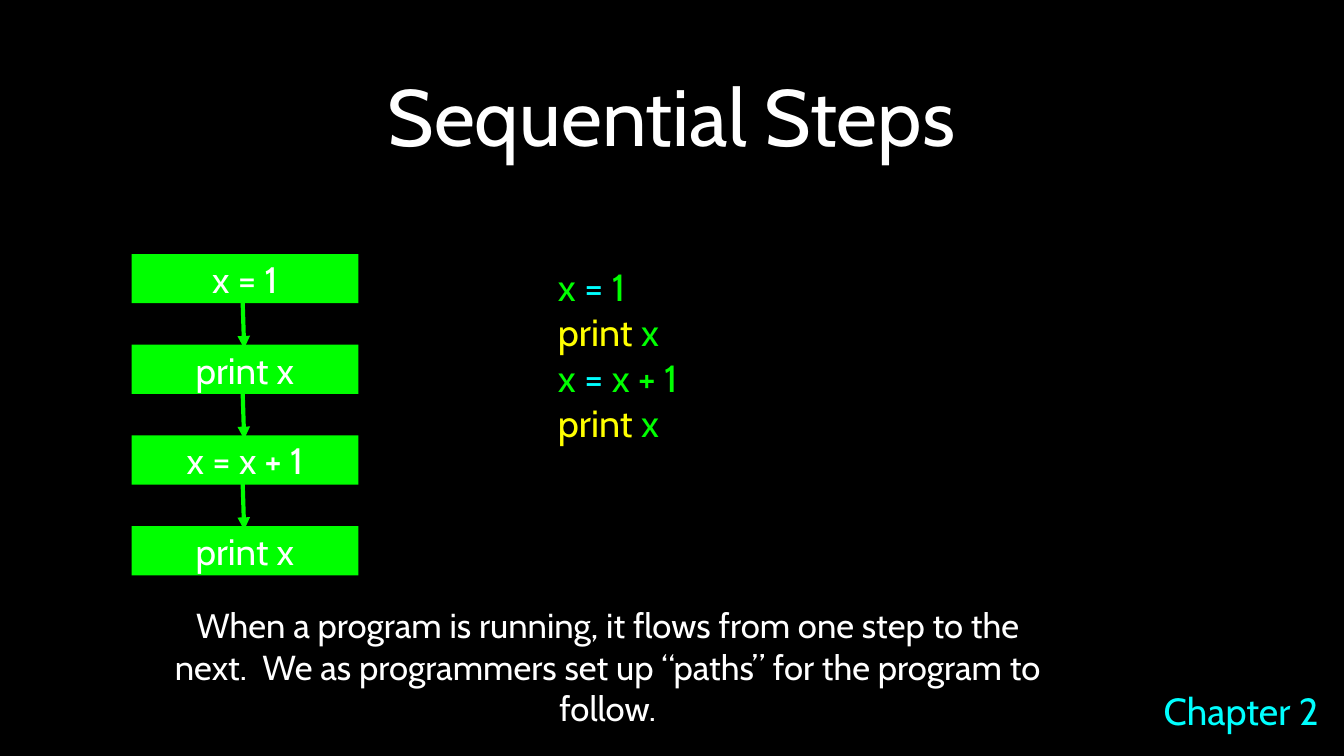
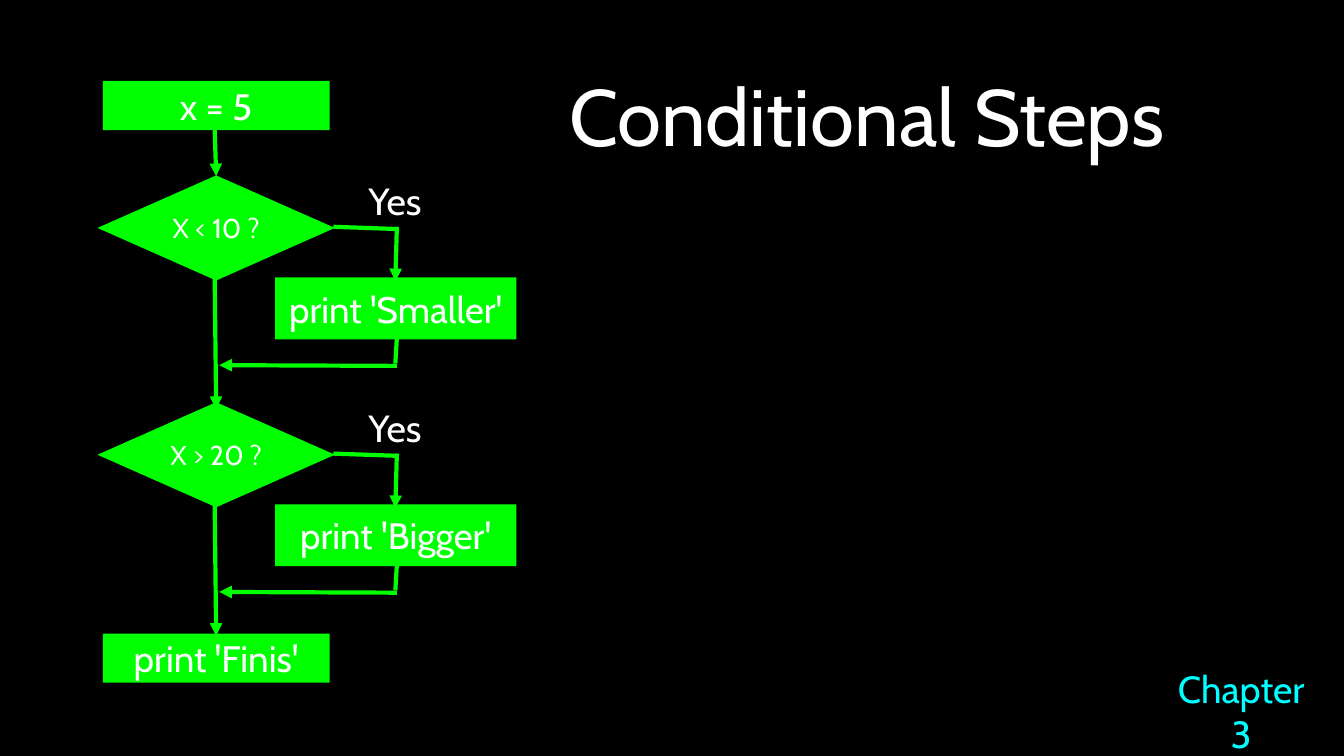
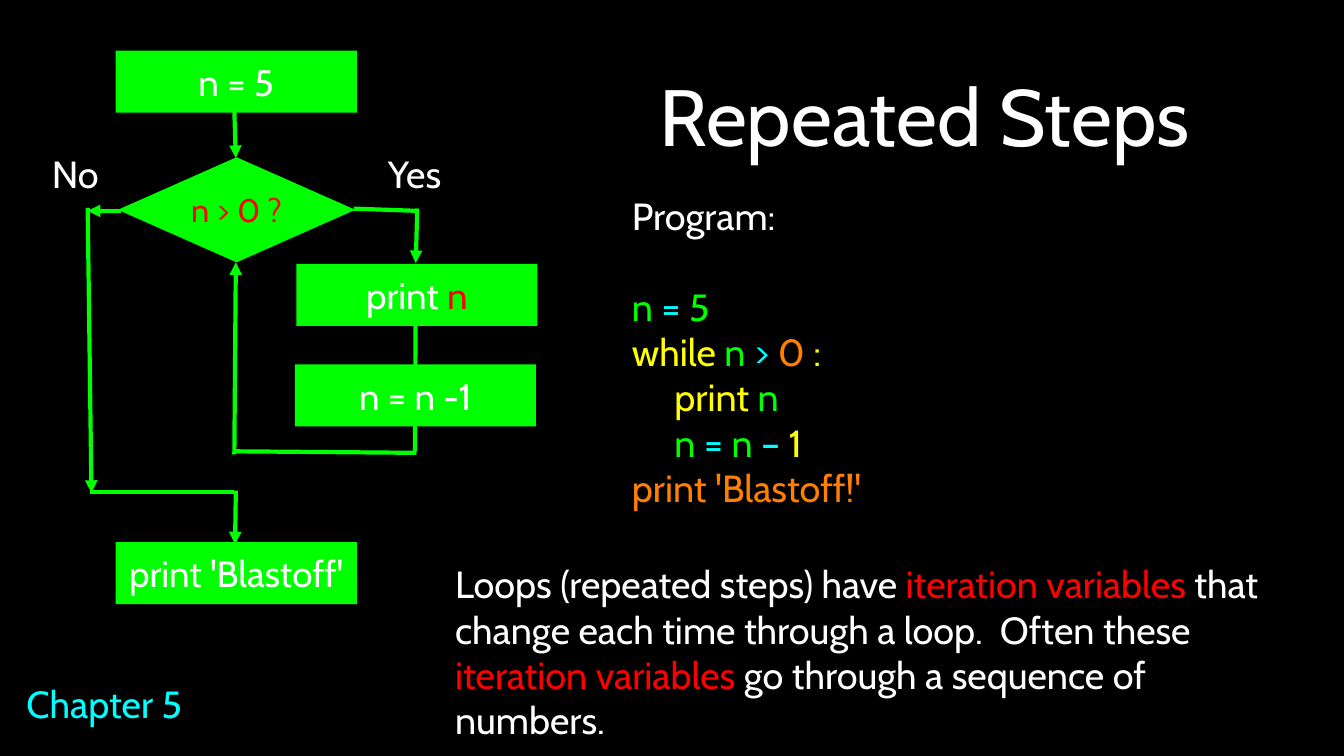
import pptx
import pptx.util
import pptx.dml.color
import pptx.enum.shapes
import pptx.enum.text
import lxml.etree
from pptx.oxml.ns import qn

RGB = pptx.dml.color.RGBColor
SHAPE = pptx.enum.shapes.MSO_SHAPE
ALIGN = pptx.enum.text.PP_ALIGN
ANCHOR = pptx.enum.text.MSO_ANCHOR

BLACK = RGB(0x00, 0x00, 0x00)
WHITE = RGB(0xFF, 0xFF, 0xFF)
GREEN = RGB(0x00, 0xFF, 0x00)
CYAN = RGB(0x00, 0xFF, 0xFF)
YELLOW = RGB(0xFF, 0xFF, 0x00)
ORANGE = RGB(0xFF, 0x7F, 0x00)
RED = RGB(0xFF, 0x00, 0x00)

FONT = "Cabin"
SCALE = 9144  # EMU in one px, 100 px to the inch
WIDE, TALL = 319, 82
SLIM, LOW = 300, 65


def px(*sizes):
    return [pptx.util.Emu(size * SCALE) for size in sizes]


def write(frame, lines, size, align=ALIGN.CENTER, inset=0, anchor=ANCHOR.MIDDLE):
    """Fill a frame with lines, each a list of (text, colour) runs."""
    frame.auto_size = pptx.enum.text.MSO_AUTO_SIZE.NONE
    frame.vertical_anchor = anchor
    frame.margin_left = frame.margin_right = px(inset)[0]
    frame.margin_top = frame.margin_bottom = px(inset)[0]
    for index, runs in enumerate(lines):
        para = frame.add_paragraph() if index else frame.paragraphs[0]
        para.alignment = align
        para.font.name = FONT
        para.font.size = pptx.util.Pt(size)
        if len(runs) == 1:
            para.font.color.rgb = runs[0][1]
        for text, color in runs:
            run = para.add_run()
            run.text = text
            if len(runs) > 1:
                run.font.color.rgb = color


def start(deck, title, left, width):
    """Add a slide whose title spans the given width."""
    slide = deck.slides.add_slide(deck.slide_layouts[5])
    head = slide.shapes.title
    head.left, head.top, head.width, head.height = px(left, 26, width, 251)
    write(head.text_frame, [[(title, WHITE)]], 76, inset=4)
    return slide


def note(slide, place, lines, size=36, wrap=True, **style):
    frame = slide.shapes.add_textbox(*px(*place)).text_frame
    frame.word_wrap = wrap
    write(frame, lines, size, **style)
    return frame


def label(slide, left, top, text):
    note(slide, (left, top, 73, 60), [[(text, WHITE)]], wrap=False)


def chapter(slide, left, top, text, width=206, wrap=False):
    note(slide, (left, top, width, 60), [[(text, CYAN)]], wrap=wrap)


def node(slide, kind, place, runs, size=35):
    shape = slide.shapes.add_shape(kind, *px(*place))
    shape.shadow.inherit = False
    shape.fill.solid()
    shape.fill.fore_color.rgb = GREEN
    shape.line.fill.background()
    write(shape.text_frame, [runs], size)


def box(slide, left, top, width, height, *runs):
    node(slide, SHAPE.RECTANGLE, (left, top, width, height), runs)


def line(slide, *ends):
    link = slide.shapes.add_connector(
        pptx.enum.shapes.MSO_CONNECTOR.STRAIGHT, *px(*ends))
    link.line.color.rgb = GREEN
    link.line.width = pptx.util.Pt(4)
    lxml.etree.SubElement(link._element.spPr, qn("a:effectLst"))
    return link


def arrow(slide, *ends):
    link = line(slide, *ends)
    tip = lxml.etree.SubElement(link.line._get_or_add_ln(), qn("a:tailEnd"))
    tip.set("type", "triangle")


def choice(slide, left, top, text, size, color):
    """Draw a test diamond and the path that leaves it on the right."""
    node(slide, SHAPE.DIAMOND, (left, top, 314, 139), [(text, color)], size)
    line(slide, left + 312, top + 68, left + 398, top + 71)
    arrow(slide, left + 396, top + 68, left + 394, top + 140)


def steps(deck):
    slide = start(deck, "Sequential Steps", 126, 1524)
    for index, text in enumerate(["x = 1", "print x", "x = x + 1", "print x"]):
        top = 336 + 120 * index
        box(slide, 174, top, SLIM, LOW, (text, WHITE))
        if index:
            arrow(slide, 321, top - 58, 323, top + 5)
    note(slide, (209, 823, 1190, 117), [[(
        "When a program is running, it flows from one step to the next.  "
        "We as programmers set up “paths” for the program to follow.",
        WHITE)]], 33)
    show = [("print ", YELLOW), ("x", GREEN)]
    note(slide, (738, 349, 308, 360), [
        [("x ", GREEN), ("= ", CYAN), ("1", GREEN)],
        show,
        [("x ", GREEN), ("= ", CYAN), ("x + 1", GREEN)],
        show,
    ], align=ALIGN.LEFT, anchor=ANCHOR.TOP)
    chapter(slide, 1539, 910, "Chapter 2")


def tests(deck):
    slide = start(deck, "Conditional Steps", 643, 1007)
    box(slide, 136, 107, SLIM, LOW, ("x = 5", WHITE))
    arrow(slide, 284, 170, 286, 233)
    rows = [("X < 10 ?", "print 'Smaller'"), ("X > 20 ?", "print 'Bigger'")]
    for index, (test, action) in enumerate(rows):
        top = 232 + 300 * index
        choice(slide, 129, top, test, 26, WHITE)
        label(slide, 486, top + 3, "Yes")
        box(slide, 364, top + 135, WIDE, TALL, (action, WHITE))
        line(slide, 525, top + 215, 523, top + 249)
        arrow(slide, 525, top + 252, 290, top + 251)
        arrow(slide, 284, top + 133, 286, top + 309)
    box(slide, 136, 838, SLIM, LOW, ("print 'Finis'", WHITE))
    chapter(slide, 1540, 910, "Chapter 3", width=204, wrap=True)


def loops(deck):
    slide = start(deck, "Repeated Steps", 796, 854)
    line(slide, 550, 368, 549, 597)
    line(slide, 551, 599, 312, 597)
    arrow(slide, 310, 601, 312, 347)
    arrow(slide, 160, 279, 116, 279)
    arrow(slide, 116, 275, 121, 652)
    line(slide, 119, 651, 310, 651)
    arrow(slide, 312, 649, 311, 720)
    arrow(slide, 310, 147, 312, 209)
    choice(slide, 156, 208, "n > 0 ?", 31, RED)
    box(slide, 153, 67, WIDE, TALL, ("n = 5", WHITE))
    box(slide, 392, 349, WIDE, TALL, ("print ", WHITE), ("n", RED))
    box(slide, 390, 482, WIDE, TALL, ("n = n -1", WHITE))
    box(slide, 153, 717, WIDE, TALL, ("print 'Blastoff'", WHITE))
    label(slide, 63, 200, "No")
    label(slide, 512, 200, "Yes")

    code = note(slide, (836, 255, 312, 420), [
        [("Program:", WHITE)],
        [("n ", GREEN), ("= ", CYAN), ("5", GREEN)],
        [("while ", YELLOW), ("n ", GREEN), ("> ", CYAN), ("0", ORANGE),
         (" :", YELLOW)],
        [("     print ", YELLOW), ("n", GREEN)],
        [("     n ", GREEN), ("= ", CYAN), ("n ", GREEN), ("–", CYAN),
         (" 1", YELLOW)],
        [("print 'Blastoff!'", ORANGE)],
    ], align=ALIGN.LEFT)
    code.paragraphs[1].space_before = pptx.util.Pt(43)
    note(slide, (602, 771, 1108, 182), [[
        ("Loops (repeated steps) have ", WHITE),
        ("iteration variables ", RED),
        ("that change each time through a loop.  Often these ", WHITE),
        ("iteration variables", RED),
        (" go through a sequence of numbers.", WHITE),
    ]], align=ALIGN.LEFT)
    chapter(slide, 35, 901, "Chapter 5")


def main():
    deck = pptx.Presentation()
    deck.slide_width, deck.slide_height = px(1778, 1000)
    back = deck.slide_master.background.fill
    back.solid()
    back.fore_color.rgb = BLACK
    steps(deck)
    tests(deck)
    loops(deck)
    deck.save("out.pptx")


if __name__ == "__main__":
    main()
